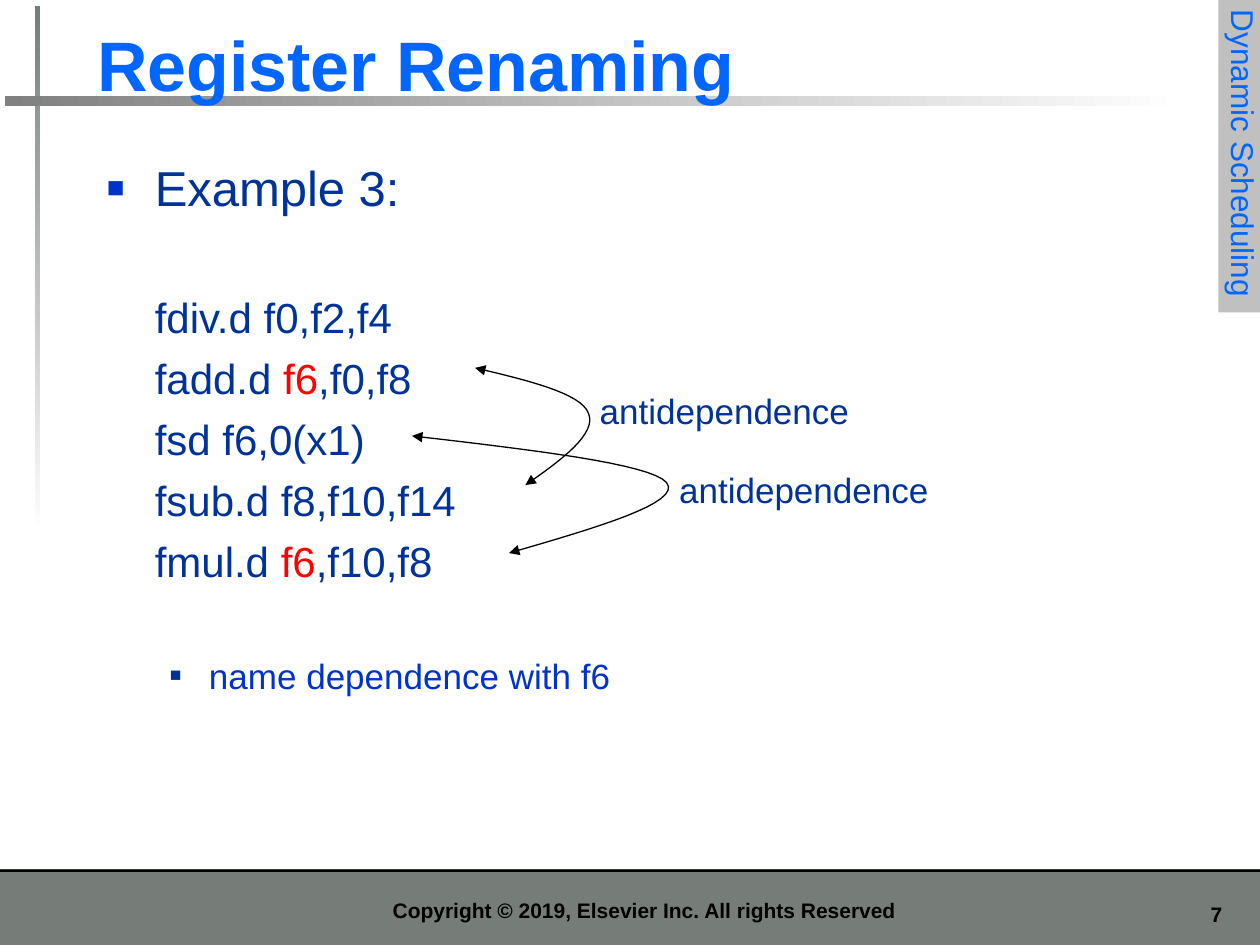
from lxml.etree import SubElement
from pptx import Presentation
from pptx.dml.color import RGBColor
from pptx.enum.shapes import MSO_SHAPE
from pptx.enum.text import MSO_ANCHOR, MSO_AUTO_SIZE, PP_ALIGN
from pptx.oxml.ns import qn
from pptx.util import Inches, Pt

BLACK = RGBColor(0x00, 0x00, 0x00)
WHITE = RGBColor(0xFF, 0xFF, 0xFF)
SLATE = RGBColor(0x76, 0x7D, 0x79)
GRAY = RGBColor(0x80, 0x80, 0x80)
SILVER = RGBColor(0xC0, 0xC0, 0xC0)
RED = RGBColor(0xFF, 0x00, 0x00)
NAVY = RGBColor(0x00, 0x33, 0x99)
BLUE = RGBColor(0x00, 0x33, 0xCC)
SKY = RGBColor(0x00, 0x66, 0xFF)


def format_font(font, size, color, bold=False):
    font.name = "Arial"
    font.size = Pt(size)
    font.bold = bold
    font.color.rgb = color


def write(paragraph, text, size=20, color=NAVY, bold=False,
          align=PP_ALIGN.LEFT, before=0):
    paragraph.alignment = align
    paragraph.space_before = Pt(before)
    run = paragraph.add_run()
    run.text = text
    format_font(run.font, size, color, bold)


def indent(paragraph, margin, hanging=0, bullet_color=None, bullet_size=60):
    properties = paragraph._p.get_or_add_pPr()
    properties.set("marL", str(Inches(margin)))
    properties.set("indent", str(-Inches(hanging)))
    if bullet_color is None:
        SubElement(properties, qn("a:buNone"))
        return
    color = SubElement(properties, qn("a:buClr"))
    SubElement(color, qn("a:srgbClr"), val=str(bullet_color))
    SubElement(properties, qn("a:buSzPct"), val=str(bullet_size * 1000))
    SubElement(properties, qn("a:buFont"), typeface="Arial")
    SubElement(properties, qn("a:buChar"), char="■")


class SlideBuilder:
    def __init__(self, slide):
        self.slide = slide
        self.shapes = slide.shapes

    def bar(self, left, top, width, height, color, fade_angle=None):
        shape = self.shapes.add_shape(
            MSO_SHAPE.RECTANGLE, Inches(left), Inches(top), Inches(width), Inches(height))
        shape.shadow.inherit = False
        shape.line.fill.background()
        if fade_angle is None:
            shape.fill.solid()
            shape.fill.fore_color.rgb = color
        else:
            shape.fill.gradient()
            shape.fill.gradient_angle = fade_angle
            for stop, stop_color in zip(shape.fill.gradient_stops, (color, WHITE)):
                stop.color.rgb = stop_color
        return shape

    def title(self, text, left, top, width, height):
        title = self.shapes.title
        title.left, title.top = Inches(left), Inches(top)
        title.width, title.height = Inches(width), Inches(height)
        frame = title.text_frame
        frame.auto_size = MSO_AUTO_SIZE.NONE
        frame.vertical_anchor = MSO_ANCHOR.BOTTOM
        write(frame.paragraphs[0], text, size=40, color=SKY, bold=True)
        title._element.getparent().append(title._element)

    def text_box(self, left, top, width, height):
        box = self.shapes.add_textbox(Inches(left), Inches(top), Inches(width), Inches(height))
        box.text_frame.word_wrap = True
        return box.text_frame

    def label(self, text, left, top, width, height, **style):
        frame = self.text_box(left, top, width, height)
        write(frame.paragraphs[0], text, **style)
        return frame

    def side_tab(self, text, left, top, width, height):
        shape = self.bar(left, top, width, height, SILVER)
        shape.rotation = 90
        shape.text_frame.word_wrap = False
        write(shape.text_frame.paragraphs[0], text, size=18, color=SKY)

    def code_line(self, frame, parts, before):
        paragraph = frame.add_paragraph()
        indent(paragraph, 0.38)
        for text, color in parts:
            write(paragraph, text, size=24, color=color, before=before)

    def curved_arrow(self, start, *segments, steps=16):
        points = []
        origin = start
        for first, second, end in segments:
            for step in range(1, steps + 1):
                t = step / steps
                weights = ((1 - t) ** 3, 3 * t * (1 - t) ** 2, 3 * t * t * (1 - t), t ** 3)
                corners = (origin, first, second, end)
                points.append(tuple(
                    Inches(sum(w * corner[axis] for w, corner in zip(weights, corners)))
                    for axis in (0, 1)))
            origin = end
        builder = self.shapes.build_freeform(Inches(start[0]), Inches(start[1]))
        builder.add_line_segments(points, close=False)
        shape = builder.convert_to_shape()
        shape.shadow.inherit = False
        shape.fill.background()
        shape.line.color.rgb = BLACK
        shape.line.width = Pt(0.75)
        line = shape.line._get_or_add_ln()
        for end in ("a:headEnd", "a:tailEnd"):
            SubElement(line, qn(end), type="triangle")


def main():
    presentation = Presentation()
    presentation.slide_width, presentation.slide_height = Inches(10), Inches(7.5)
    builder = SlideBuilder(presentation.slides.add_slide(presentation.slide_layouts[5]))

    builder.bar(0, 6.9, 10, 0.6, SLATE)
    builder.bar(0, 6.9, 10, 0.02, BLACK)
    builder.bar(0.28, 0.05, 0.04, 4.17, SLATE, fade_angle=270)
    builder.bar(0.04, 0.76, 9.37, 0.08, GRAY, fade_angle=0)
    builder.label("7", 9.17, 7.11, 0.63, 0.3,
                  size=12, color=BLACK, bold=True, align=PP_ALIGN.RIGHT)
    footer = builder.label("Copyright © 2019, Elsevier Inc. All rights Reserved",
                           1.14, 6.98, 7.95, 0.39,
                           size=12, color=BLACK, bold=True, align=PP_ALIGN.CENTER)
    footer.vertical_anchor = MSO_ANCHOR.BOTTOM
    builder.title("Register Renaming", 0.67, 0.12, 9.06, 0.77)

    body = builder.text_box(0.75, 1.25, 9.05, 5.57)
    heading = body.paragraphs[0]
    indent(heading, 0.38, 0.38, BLUE)
    heading.line_spacing = 0.9
    write(heading, "Example 3:", size=28)
    code = [
        [("fdiv.d f0,f2,f4", NAVY)],
        [("fadd.d ", NAVY), ("f6", RED), (",f0,f8", NAVY)],
        [("fsd f6,0(x1)", NAVY)],
        [("fsub.d f8,f10,f14", NAVY)],
        [("fmul.d ", NAVY), ("f6", RED), (",f10,f8", NAVY)],
    ]
    for index, parts in enumerate(code):
        builder.code_line(body, parts, before=6 if index else 43)
    note = body.add_paragraph()
    indent(note, 0.81, 0.31, NAVY, 55)
    write(note, "name dependence with f6", color=BLUE, before=39)

    builder.curved_arrow((3.77, 2.92),
                         ((4.19, 3.02), (4.61, 3.12), (4.67, 3.28)),
                         ((4.74, 3.44), (4.46, 3.65), (4.17, 3.85)))
    builder.curved_arrow((3.27, 3.46),
                         ((4.21, 3.57), (5.16, 3.68), (5.29, 3.83)),
                         ((5.42, 3.99), (4.73, 4.19), (4.04, 4.39)))
    for left, top in ((4.61, 3.04), (5.24, 3.67)):
        builder.label("antidependence", left, top, 2.28, 0.44, align=PP_ALIGN.CENTER)
    builder.side_tab("Dynamic Scheduling", 8.62, 1.03, 2.5, 0.4)

    presentation.save("out.pptx")


if __name__ == "__main__":
    main()
